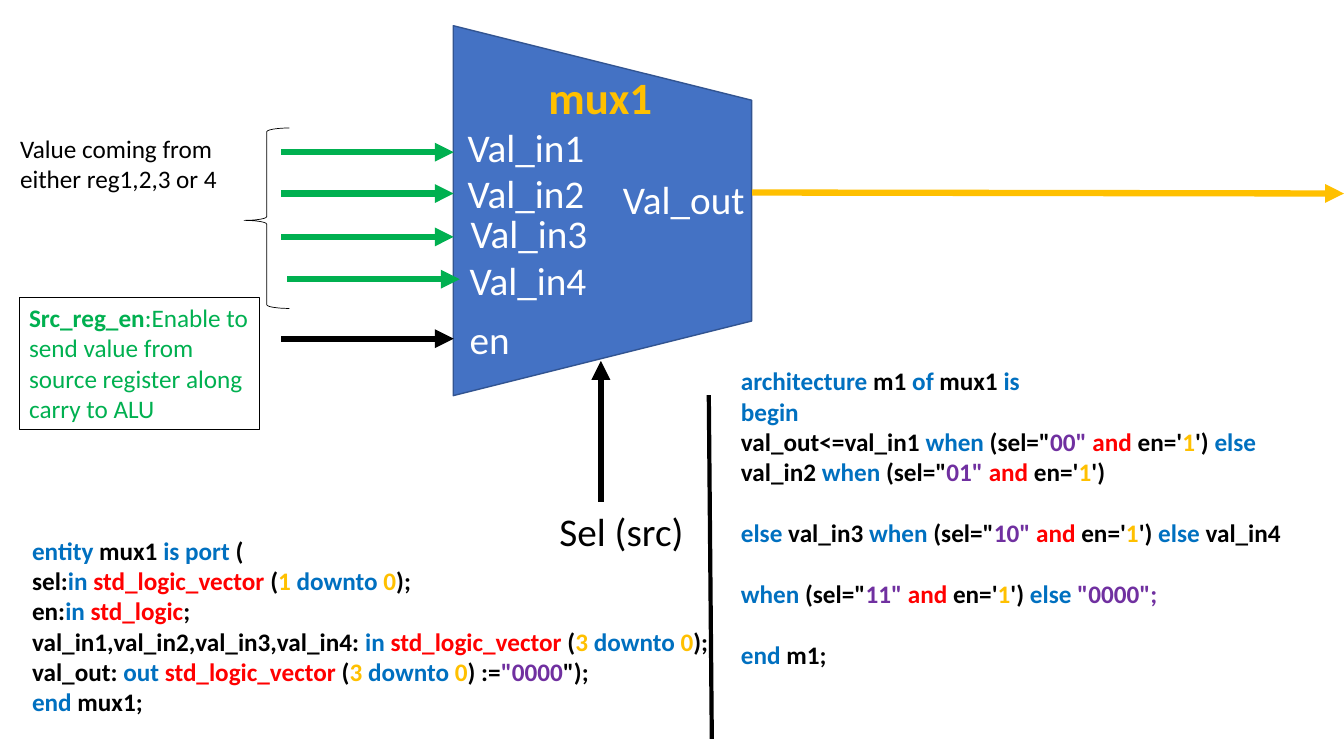
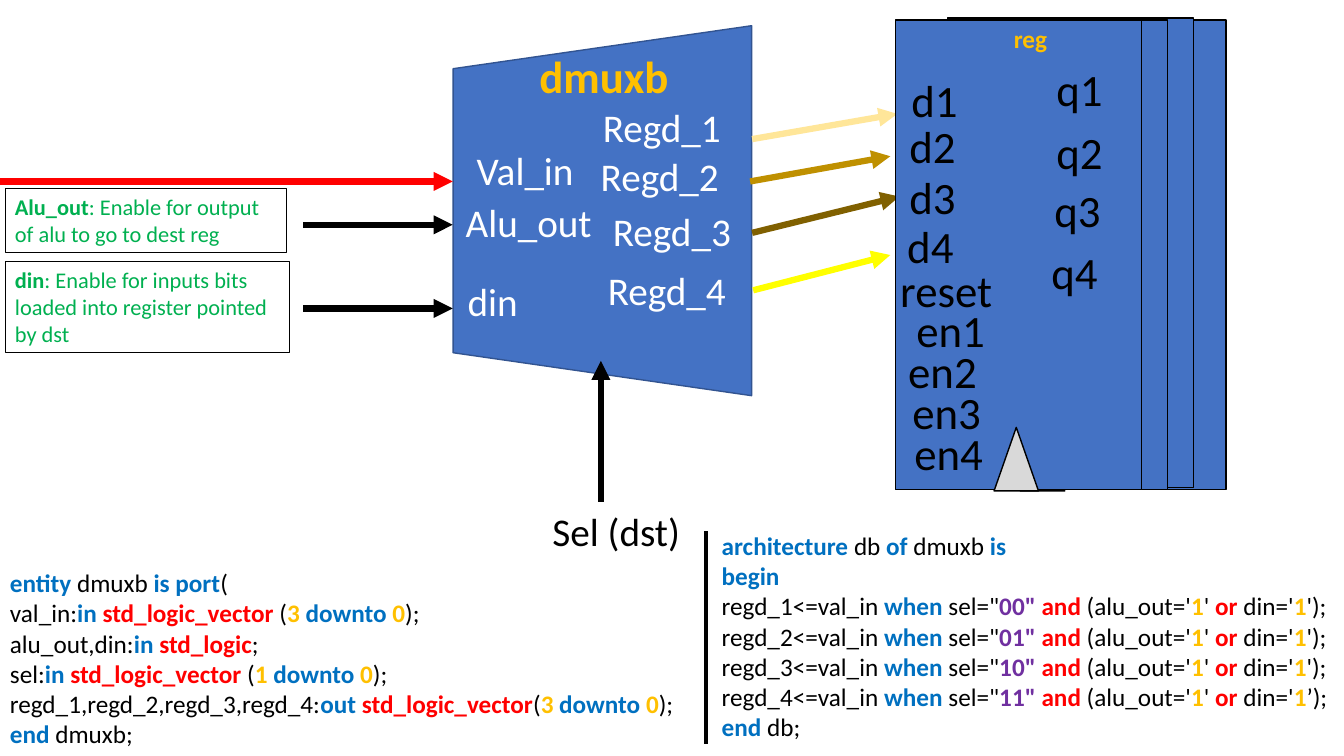
"""Build two slides that explain a multiplexer and a demultiplexer with their VHDL code."""
from dataclasses import dataclass

from lxml.etree import SubElement
from pptx import Presentation
from pptx.dml.color import RGBColor
from pptx.enum.shapes import MSO_CONNECTOR, MSO_SHAPE
from pptx.enum.text import MSO_AUTO_SIZE, PP_ALIGN
from pptx.oxml.ns import qn
from pptx.util import Inches, Pt


@dataclass(frozen=True)
class Theme:
    """Hold the colours, font, type sizes and line widths of the deck."""
    font: str = "Calibri"
    black: str = "000000"
    white: str = "FFFFFF"
    block: str = "4472C4"
    block_edge: str = "325491"
    clock: str = "D9D9D9"
    gold: str = "FFC000"
    green: str = "00B050"
    red: str = "FF0000"
    keyword: str = "0070C0"
    literal: str = "7030A0"
    yellow: str = "FFFF00"
    pale_gold: str = "FFE699"
    dark_gold: str = "BF9000"
    brown: str = "806000"
    heading: int = 32
    port: int = 28
    body: int = 18
    small: int = 16
    arrow: float = 4.5
    divider: float = 3
    edge: float = 1
    note_edge: float = 0.75
    thin: float = 0.5


THEME = Theme()
PORT_SIZE = (1.62, 0.57)
PIN_SIZE = (0.96, 0.64)
CODE_COLOURS = {
    **dict.fromkeys(("entity", "is port", "in", "out", "downto", "end", "architecture",
                     "of", "is", "begin", "when", "else"), THEME.keyword),
    **dict.fromkeys(("std_logic", "std_logic_vector", "and", "or"), THEME.red),
    **dict.fromkeys(("0", "1", "3"), THEME.gold),
    **dict.fromkeys(('00"', '01"', '10"', '11"', '"0000', '"0000";'), THEME.literal),
}

MUX_ENTITY = (
    "entity| mux1 |is port| (",
    "sel:|in |std_logic_vector |(|1 |downto |0|);",
    "en:|in |std_logic|;",
    "val_in1,val_in2,val_in3,val_in4: |in |std_logic_vector |(|3 |downto |0|);",
    'val_out: |out |std_logic_vector |(|3 |downto |0|) :=|"0000|");',
    "end| mux1;",
)
MUX_ARCHITECTURE = (
    "architecture| m1 |of| mux1 |is",
    "begin",
    "val_out<=val_in1 |when| (sel=\"|00\" |and |en='|1|') |else| val_in2 "
    "|when| (sel=\"|01\" |and |en='|1|')",
    "else| val_in3 |when| (sel=\"|10\" |and |en='|1|') |else| val_in4",
    "when| (sel=\"|11\" |and |en='|1|') |else |\"0000\";",
    "end| m1;",
)
DMUX_ENTITY = (
    "entity |dmuxb |is port|(",
    "val_in:|in |std_logic_vector |(|3 |downto |0|);",
    "alu_out,din:|in |std_logic|;",
    "sel:|in |std_logic_vector |(|1 |downto |0|);",
    "regd_1,regd_2,regd_3,regd_4:|out |std_logic_vector|(|3 |downto |0|);",
    "end |dmuxb;",
)
DMUX_ARCHITECTURE = (
    "architecture |db |of |dmuxb |is",
    "begin",
    *(f"regd_{number}<=val_in |when |sel=\"|{code}\" |and| (alu_out='|1|' |or| din='|1|{quote});"
      for number, code, quote in zip("1234", ("00", "01", "10", "11"), "'''’")),
    "end |db;",
)


def inches(*values):
    """Turn numbers into lengths."""
    return [Inches(value) for value in values]


def set_line(line, colour, width):
    """Give a line its colour and width."""
    line.color.rgb = RGBColor.from_string(colour)
    line.width = Pt(width)


def add_text(page, frame, paragraphs, size, align=PP_ALIGN.LEFT):
    """Add a text box whose paragraphs are lists of (text, colour, bold) spans."""
    box = page.shapes.add_textbox(*inches(*frame))
    text_frame = box.text_frame
    text_frame.word_wrap = True
    text_frame.auto_size = MSO_AUTO_SIZE.SHAPE_TO_FIT_TEXT
    for index, spans in enumerate(paragraphs):
        para = text_frame.add_paragraph() if index else text_frame.paragraphs[0]
        para.alignment = align
        for text, colour, bold in spans:
            span = para.add_run()
            span.text = text
            span.font.name = THEME.font
            span.font.size = Pt(size)
            span.font.bold = bold
            span.font.color.rgb = RGBColor.from_string(colour)
    return box


def add_labels(page, labels, box_size, colour, size):
    """Add one-line labels given as (text, left, top)."""
    for text, left, top in labels:
        add_text(page, (left, top, *box_size), [[(text, colour, False)]], size)


def add_note(page, frame, term, explanation, size):
    """Add a framed note that starts with a bold term."""
    spans = [(term, THEME.green, True), (explanation, THEME.green, False)]
    set_line(add_text(page, frame, [spans], size).line, THEME.black, THEME.note_edge)


def add_code(page, frame, lines, plain_bold):
    """Add code whose spans, split at bars, are coloured by meaning."""
    paragraphs = []
    for line in lines:
        colours = [(text, CODE_COLOURS.get(text.strip())) for text in line.split("|")]
        paragraphs.append([(text, colour or THEME.black, bool(colour) or plain_bold)
                           for text, colour in colours])
    return add_text(page, frame, paragraphs, THEME.body)


def add_line(page, start, end, colour, width=THEME.arrow, arrow=True):
    """Add a straight line, with an arrowhead unless told otherwise."""
    connector = page.shapes.add_connector(MSO_CONNECTOR.STRAIGHT, *inches(*start, *end))
    set_line(connector.line, colour, width)
    properties = connector.element.spPr
    if arrow:
        SubElement(properties.find(qn("a:ln")), qn("a:tailEnd"), type="triangle")
    SubElement(properties, qn("a:effectLst"))


def add_filled(shapes, kind, frame, fill, edge):
    """Add a filled preset shape."""
    shape = shapes.add_shape(kind, *inches(*frame))
    shape.shadow.inherit = False
    shape.fill.solid()
    shape.fill.fore_color.rgb = RGBColor.from_string(fill)
    set_line(shape.line, edge, THEME.edge)
    return shape


def add_selector(page, name, name_at, rotation, slope, select, select_left):
    """Add the trapezoid block with its name and its select input."""
    block = add_filled(page.shapes, MSO_SHAPE.TRAPEZOID, (4.14, 0.61, 3.67, 2.96),
                       THEME.block, THEME.block_edge)
    block.rotation = rotation
    block.adjustments[0] = slope
    add_line(page, (5.96, 4.98), (5.96, 3.58), THEME.black)
    add_text(page, (*name_at, 1.69, 0.64), [[(name, THEME.gold, True)]], THEME.heading)
    add_labels(page, [(select, select_left, 4.98)], PORT_SIZE, THEME.black, THEME.port)


def add_brace(page, frame):
    """Add a brace that opens to the right."""
    brace = page.shapes.add_shape(MSO_SHAPE.RIGHT_BRACE, *inches(*frame))
    brace.shadow.inherit = False
    brace.rotation = 180
    brace.adjustments[0] = 0.083
    brace.adjustments[1] = 0.488
    brace.fill.background()
    set_line(brace.line, THEME.black, THEME.thin)


def add_register_card(shapes, left, top):
    """Add one card of the register stack."""
    add_filled(shapes, MSO_SHAPE.RECTANGLE, (left, top, 2.44, 4.66), THEME.block, THEME.black)


def add_registers(page):
    """Add the register stack with its pins."""
    for left, top in ((9.72, 0.2), (9.4, 0.18)):
        add_register_card(page.shapes, left, top)
    for left in (9.14, 8.88):
        group = page.shapes.add_group_shape()
        add_register_card(group.shapes, left, 0.2)
        add_filled(group.shapes, MSO_SHAPE.ISOSCELES_TRIANGLE, (left + 0.98, 4.24, 0.44, 0.63),
                   THEME.clock, THEME.black)
    add_text(page, (8.97, 0.18, 2.5, 0.4), [[("reg", THEME.gold, True)]], THEME.body,
             PP_ALIGN.CENTER)
    add_labels(page, [("reset", 8.83, 2.56)], (1.15, 0.64), THEME.black, THEME.heading)
    pins = [
        ("d1", 8.94, 0.67), ("d2", 8.92, 1.13), ("d3", 8.92, 1.63), ("d4", 8.9, 2.12),
        ("en1", 8.99, 2.95), ("en2", 8.91, 3.36), ("en3", 8.95, 3.77), ("en4", 8.97, 4.17),
        ("q1", 10.38, 0.56), ("q2", 10.38, 1.19), ("q3", 10.36, 1.76), ("q4", 10.33, 2.38),
    ]
    add_labels(page, pins, PIN_SIZE, THEME.black, THEME.heading)


def build_mux(page):
    """Draw the multiplexer slide."""
    add_selector(page, "mux1", (5.34, 0.64), 90, 0.25, "Sel (src)", 5.45)
    inputs = ((2.79, 1.51, THEME.green), (2.79, 1.92, THEME.green), (2.79, 2.35, THEME.green),
              (2.85, 2.77, THEME.green), (2.79, 3.36, THEME.black))
    for left, top, colour in inputs:
        add_line(page, (left, top), (left + 1.71, top), colour)
    add_line(page, (7.46, 1.91), (13.33, 1.92), THEME.gold)
    ports = [("Val_in1", 4.54, 1.17), ("Val_in2", 4.54, 1.63), ("Val_in3", 4.57, 2.03),
             ("Val_in4", 4.56, 2.49), ("en", 4.56, 3.08), ("Val_out", 6.08, 1.69)]
    add_labels(page, ports, PORT_SIZE, THEME.white, THEME.port)
    add_brace(page, (2.42, 1.27, 0.45, 1.79))
    add_labels(page, [("Value coming from either reg1,2,3 or 4", 0.1, 1.27)], (2.52, 0.71),
               THEME.black, THEME.body)
    add_note(page, (0.19, 2.95, 2.38, 1.31), "Src_reg_en",
             ":Enable to send value from source register along carry to ALU", THEME.body)
    add_line(page, (7.03, 3.92), (7.06, 7.33), THEME.black, THEME.divider, arrow=False)
    add_code(page, (0.22, 5.26, 7.03, 1.92), MUX_ENTITY, plain_bold=True)
    code = add_code(page, (7.25, 3.58, 5.68, 3.74), MUX_ARCHITECTURE, plain_bold=True)
    for para in code.text_frame.paragraphs[3:]:
        para.space_before = Pt(22)


def build_dmux(page):
    """Draw the demultiplexer slide."""
    add_selector(page, "dmuxb", (5.25, 0.43), 270, 0.144, "Sel (dst)", 5.38)
    inputs = ((0, 1.8, THEME.red), (3.01, 2.23, THEME.black), (3.01, 3.06, THEME.black))
    for left, top, colour in inputs:
        add_line(page, (left, top), (4.49, top), colour)
    outputs = (((7.46, 1.38), (8.9, 1.13), THEME.pale_gold),
               ((7.44, 1.8), (8.83, 1.55), THEME.dark_gold),
               ((7.46, 2.31), (8.92, 1.95), THEME.brown),
               ((7.47, 2.88), (8.83, 2.53), THEME.yellow))
    for start, end, colour in outputs:
        add_line(page, start, end, colour)
    ports = [("Val_in", 4.63, 1.4), ("Alu_out", 4.52, 1.92), ("din", 4.54, 2.7),
             ("Regd_1", 5.88, 0.98), ("Regd_2", 5.86, 1.46), ("Regd_3", 5.98, 2.01),
             ("Regd_4", 5.93, 2.59)]
    add_labels(page, ports, PORT_SIZE, THEME.white, THEME.port)
    add_registers(page)
    add_note(page, (0.05, 1.87, 2.79, 0.64), "Alu_out",
             ": Enable for output of alu to go to dest reg", THEME.small)
    add_note(page, (0.05, 2.59, 2.82, 0.91), "din",
             ": Enable for inputs bits loaded into register pointed by dst", THEME.small)
    add_line(page, (7, 5.27), (7, 7.38), THEME.black, THEME.divider, arrow=False)
    add_code(page, (0, 5.58, 7.31, 1.92), DMUX_ENTITY, plain_bold=False)
    add_code(page, (7.06, 5.21, 6.27, 2.22), DMUX_ARCHITECTURE, plain_bold=False)


def main():
    """Build and save the deck."""
    deck = Presentation()
    deck.slide_width, deck.slide_height = inches(13.33, 7.5)
    blank_layout = deck.slide_layouts.get_by_name("Blank")
    for build in (build_mux, build_dmux):
        build(deck.slides.add_slide(blank_layout))
    deck.save("out.pptx")


if __name__ == "__main__":
    main()
